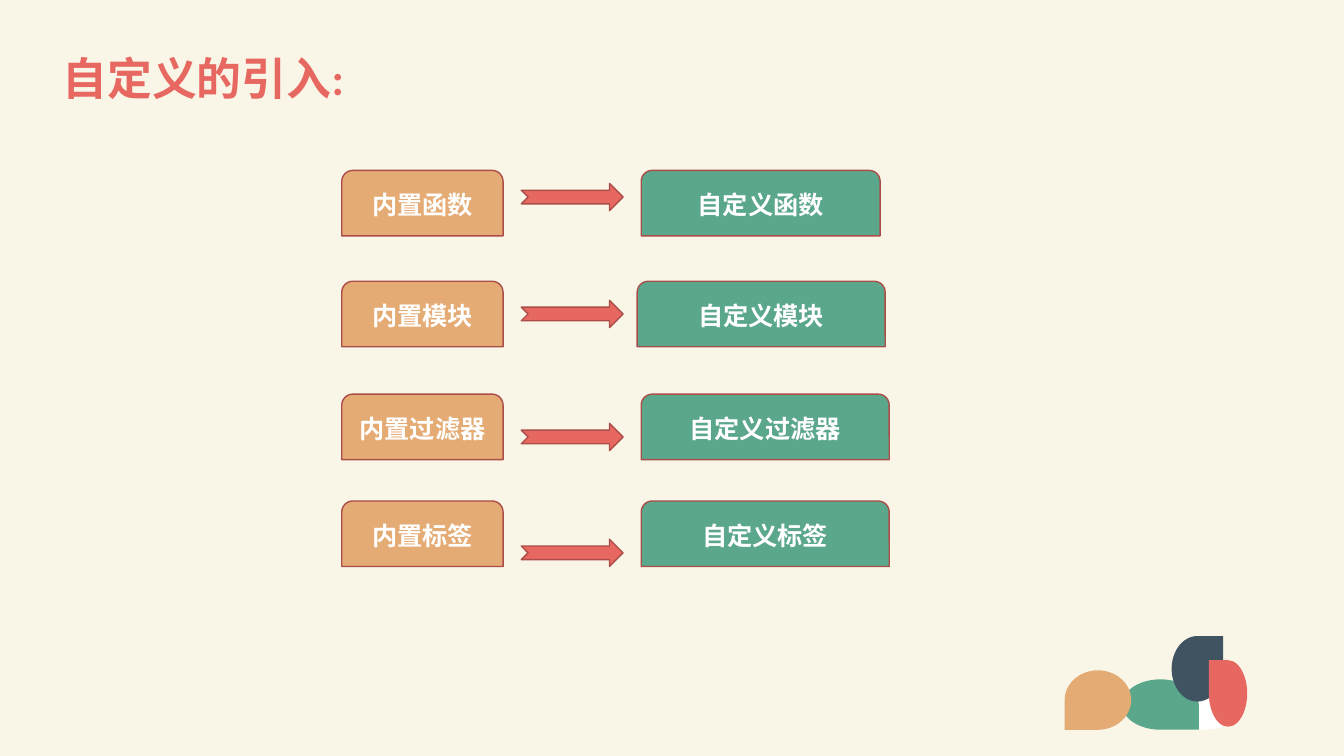
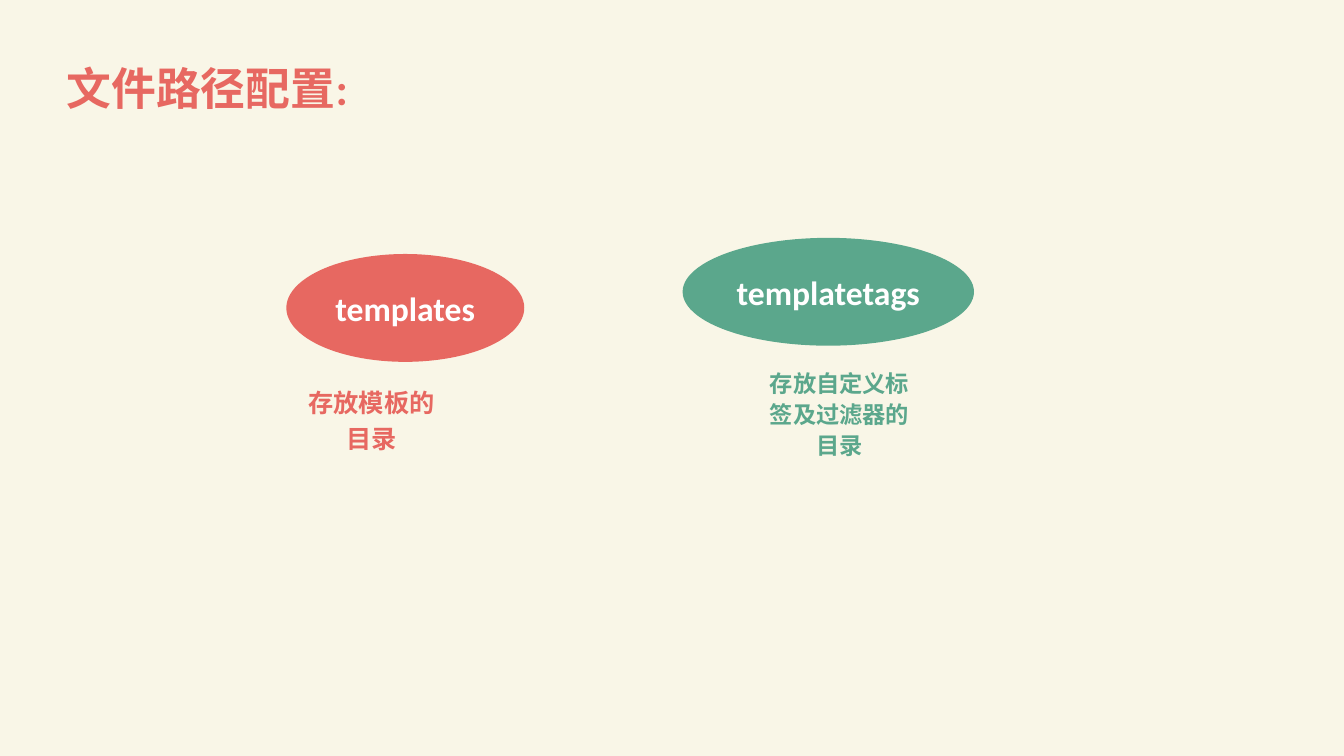
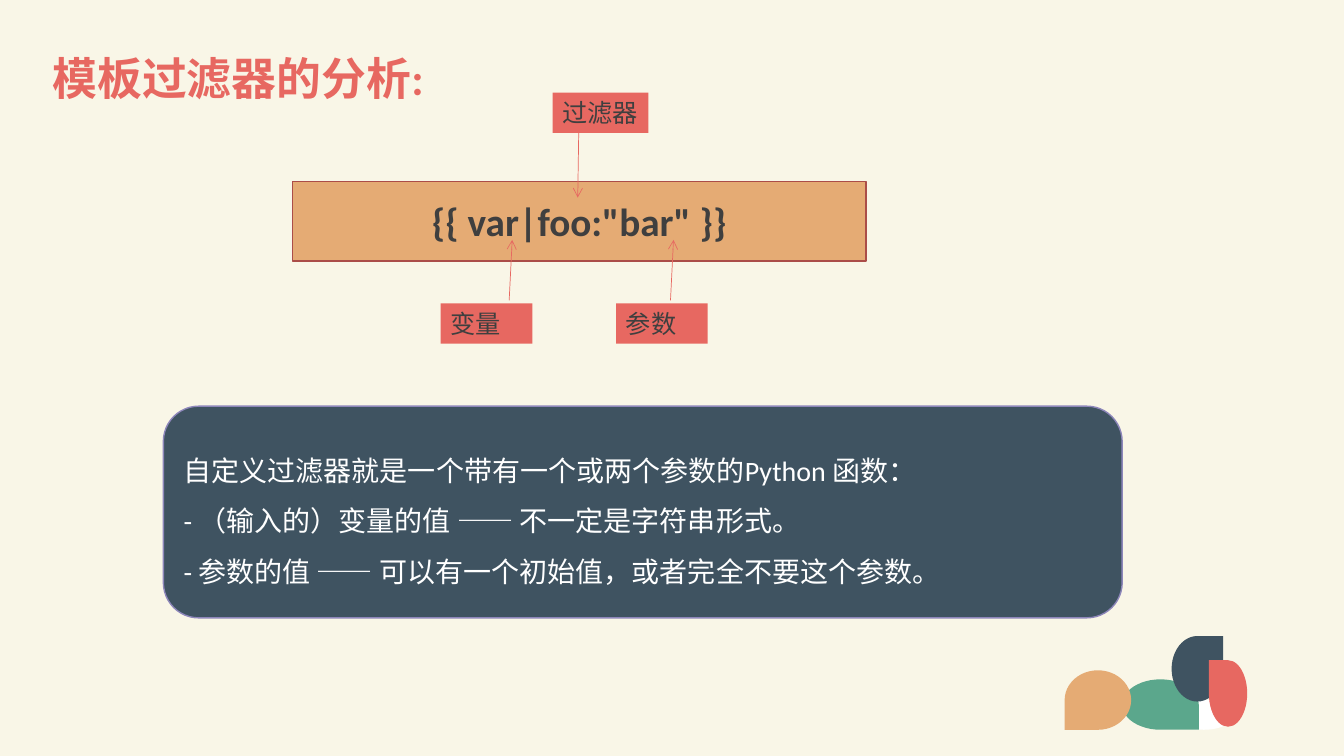
from lxml.etree import SubElement
from pptx import Presentation
from pptx.dml.color import RGBColor
from pptx.enum.shapes import MSO_CONNECTOR, MSO_SHAPE
from pptx.enum.text import MSO_ANCHOR, MSO_AUTO_SIZE, PP_ALIGN
from pptx.oxml.ns import qn
from pptx.util import Inches, Pt

FONT = "Calibri"
CREAM, WHITE, CHARCOAL = "F9F6E7", "FFFFFF", "3F3F3F"
CORAL, GREEN, SAND, NAVY = "E76861", "5BA78C", "E5AB74", "3F5361"
BRICK, LILAC = "AB4D48", "8D86BA"


def rgb(color):
    """Turn a hex string into a colour."""
    return RGBColor.from_string(color)


def write(frame, lines, size, color, bold=False, align=PP_ALIGN.CENTER,
          spacing=None, anchor=MSO_ANCHOR.MIDDLE):
    """Fill a text frame with one formatted paragraph per line."""
    frame.word_wrap = True
    frame.vertical_anchor = anchor
    for index, line in enumerate(lines):
        paragraph = frame.add_paragraph() if index else frame.paragraphs[0]
        paragraph.alignment = align
        paragraph.line_spacing = spacing
        run = paragraph.add_run()
        run.text = line
        run.font.name = FONT
        run.font.size = Pt(size)
        run.font.bold = bold
        run.font.color.rgb = rgb(color)


def add_block(slide, kind, box, fill, outline=None):
    """Add a flat preset shape, with a 1 pt outline if a colour is given."""
    block = slide.shapes.add_shape(kind, *map(Inches, box))
    block.shadow.inherit = False
    block.fill.solid()
    block.fill.fore_color.rgb = rgb(fill)
    if outline:
        block.line.color.rgb = rgb(outline)
        block.line.width = Pt(1)
    else:
        block.line.fill.background()
    return block


def add_petal(slide, box, fill, flips):
    """Add an ellipse with one square corner, top right before flipping."""
    petal = add_block(slide, MSO_SHAPE.TEAR, box, fill)
    for flip in flips:
        petal._element.spPr.find(qn("a:xfrm")).set(flip, "1")


def add_ornament(slide):
    """Add the cluster of petals at the bottom right."""
    add_block(slide, MSO_SHAPE.OVAL, (11.64, 6.94, 0.6, 0.3), WHITE)
    add_petal(slide, (11.13, 6.74, 0.76, 0.5), GREEN, ["flipV"])
    add_petal(slide, (11.62, 6.31, 0.51, 0.65), NAVY, [])
    add_petal(slide, (11.99, 6.55, 0.38, 0.66), CORAL, ["flipH"])
    add_petal(slide, (10.56, 6.65, 0.66, 0.59), SAND, ["flipH", "flipV"])


def add_slide(prs, heading, left, top):
    """Add a slide with its heading in the title placeholder."""
    slide = prs.slides.add_slide(prs.slide_layouts[5])
    title = slide.shapes.title
    title.left, title.top = Inches(left), Inches(top)
    title.width, title.height = Inches(12.29), Inches(1.06)
    write(title.text_frame, [heading], 32, CORAL, True, PP_ALIGN.LEFT, 0.9)
    return slide


def add_caption(slide, text, box, size, color, spacing):
    """Add a bold centred caption."""
    caption = slide.shapes.add_textbox(*map(Inches, box))
    write(caption.text_frame, [text], size, color, True,
          spacing=spacing, anchor=MSO_ANCHOR.TOP)


def add_label(slide, text, box, wrap=True):
    """Add a coral label that names a part of the expression."""
    label = add_block(slide, MSO_SHAPE.RECTANGLE, box, CORAL)
    frame = label.text_frame
    write(frame, [text], 18, CHARCOAL, align=PP_ALIGN.LEFT,
          anchor=MSO_ANCHOR.TOP)
    frame.word_wrap = wrap
    frame.auto_size = MSO_AUTO_SIZE.SHAPE_TO_FIT_TEXT


def add_pointer(slide, start, end):
    """Add a thin coral line with an open arrowhead at its end."""
    pointer = slide.shapes.add_connector(
        MSO_CONNECTOR.STRAIGHT, *map(Inches, start + end))
    pointer.line.color.rgb = rgb(CORAL)
    pointer.line.width = Pt(0.5)
    SubElement(pointer.line._get_or_add_ln(), qn("a:tailEnd"), type="arrow")
    SubElement(pointer._element.spPr, qn("a:effectLst"))


def build_introduction(prs):
    """Pair each built-in feature with its custom counterpart."""
    slide = add_slide(prs, "自定义的引入:", 0.52, 0.27)
    add_ornament(slide)
    # feature, row top, arrow top, left and width of the custom box
    rows = [("函数", 1.69, 1.82, 6.36, 2.37),
            ("模块", 2.79, 2.98, 6.32, 2.46),
            ("过滤器", 3.91, 4.2, 6.36, 2.46),
            ("标签", 4.97, 5.35, 6.36, 2.46)]
    for feature, top, arrow_top, custom_left, custom_width in rows:
        for prefix, left, width, fill in (
                ("内置", 3.39, 1.6, SAND),
                ("自定义", custom_left, custom_width, GREEN)):
            box = add_block(slide, MSO_SHAPE.ROUND_2_SAME_RECTANGLE,
                            (left, top, width, 0.65), fill, BRICK)
            write(box.text_frame, [prefix + feature], 18, WHITE, True)
        add_block(slide, MSO_SHAPE.NOTCHED_RIGHT_ARROW,
                  (5.17, arrow_top, 1.01, 0.27), CORAL, BRICK)


def build_directories(prs):
    """Show the two directories and what they hold."""
    slide = add_slide(prs, "文件路径配置:", 0.56, 0.37)
    for name, box, color in (
            ("templatetags", (6.77, 2.36, 2.89, 1.07), GREEN),
            ("templates", (2.84, 2.52, 2.36, 1.07), CORAL)):
        directory = add_block(slide, MSO_SHAPE.OVAL, box, color)
        write(directory.text_frame, [name], 24, WHITE, True)
    add_caption(slide, "存放自定义标签及过滤器的目录",
                (7.48, 3.59, 1.69, 1.07), 16.6, GREEN, 1.1)
    add_caption(slide, "存放模板的目录",
                (2.84, 3.73, 1.69, 1.07), 18, CORAL, 1.2)


def build_filter_analysis(prs):
    """Label the parts of a filter expression and explain them."""
    slide = add_slide(prs, "模板过滤器的分析:", 0.42, 0.27)
    add_ornament(slide)
    explanation = add_block(slide, MSO_SHAPE.ROUNDED_RECTANGLE,
                            (1.62, 4.03, 9.51, 2.1), NAVY, LILAC)
    write(explanation.text_frame,
          ["自定义过滤器就是一个带有一个或两个参数的Python 函数：",
           "- （输入的）变量的值 —— 不一定是字符串形式。",
           "- 参数的值 —— 可以有一个初始值，或者完全不要这个参数。"],
          20, WHITE, align=PP_ALIGN.LEFT, spacing=1.5)
    expression = add_block(slide, MSO_SHAPE.RECTANGLE,
                           (2.9, 1.8, 5.69, 0.79), SAND, BRICK)
    write(expression.text_frame, ['{{ var|foo:"bar" }}'], 28, CHARCOAL, True)
    add_label(slide, "过滤器", (5.48, 0.92, 0.95, 0.4), wrap=False)
    add_pointer(slide, (5.74, 1.32), (5.73, 1.96))
    for part, left, pointer_left in (("变量", 4.37, 5.05),
                                     ("参数", 6.11, 6.65)):
        add_label(slide, part, (left, 3.01, 0.91, 0.4))
        add_pointer(slide, (pointer_left, 2.98), (pointer_left + 0.03, 2.38))


def main():
    """Build and save the presentation."""
    prs = Presentation()
    prs.slide_width, prs.slide_height = Inches(13.33), Inches(7.5)
    backdrop = prs.slide_master.background.fill
    backdrop.solid()
    backdrop.fore_color.rgb = rgb(CREAM)
    build_introduction(prs)
    build_directories(prs)
    build_filter_analysis(prs)
    prs.save("out.pptx")


main()
